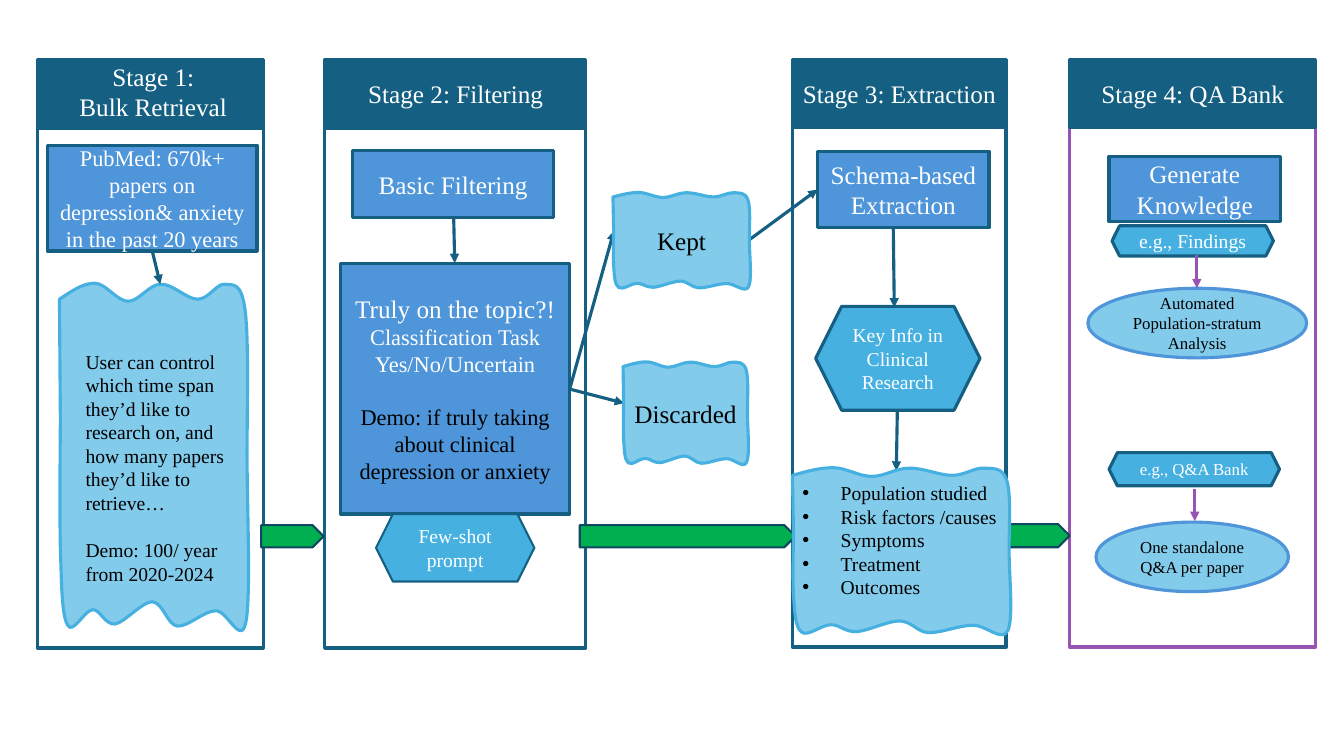
from dataclasses import dataclass

from lxml import etree
from pptx import Presentation
from pptx import util as u
from pptx.dml.color import RGBColor
from pptx.enum import shapes, text
from pptx.oxml import ns

PX = 9144  # EMU in one px, 100 px to the inch


@dataclass(frozen=True)
class Theme:
    font: str = "Times New Roman"
    dark: str = "156082"
    box: str = "4E95D9"
    hexagon: str = "46B1E1"
    pale: str = "83CBEB"
    purple: str = "9854B1"
    green: str = "00B050"
    green_edge: str = "104760"
    white: str = "FFFFFF"
    black: str = "000000"
    title: int = 18
    body: int = 16
    detail: int = 14
    small: int = 12
    line: float = 2.25
    thin: float = 1.5
    heavy: float = 2.75


THEME = Theme()
KIND = shapes.MSO_SHAPE
ALIGN = text.PP_ALIGN
ANCHOR = text.MSO_ANCHOR

# Torn sheet in thousandths of its size: start, then control, control, end.
SHEET_UNIT = 1000
SHEET_START = (0, 46)
SHEET_CURVES = [
    ((64, 23), (123, 0), (187, 0)),
    ((246, 0), (305, 52), (364, 52)),
    ((422, 52), (476, 3), (535, 3)),
    ((599, 0), (674, 46), (733, 46)),
    ((791, 46), (834, 0), (877, 3)),
    ((920, 6), (963, -6), (984, 75)),
    ((1005, 159), (995, 345), (995, 496)),
    ((995, 643), (1016, 899), (989, 974)),
    ((963, 1046), (888, 939), (829, 942)),
    ((765, 942), (684, 988), (626, 986)),
    ((572, 983), (551, 919), (492, 916)),
    ((439, 916), (342, 977), (294, 980)),
    ((241, 983), (214, 936), (176, 939)),
    ((134, 939), (70, 1012), (43, 983)),
    ((11, 954), (11, 858), (5, 762)),
    ((0, 664), (5, 394), (5, 394)),
]


def px(*lengths):
    return [u.Emu(length * PX) for length in lengths]


def apply(target, values):
    for name, value in values.items():
        setattr(target, name, value)


def style(shape, fill, line, weight=THEME.line):
    shape.shadow.inherit = False
    if fill:
        shape.fill.solid()
        shape.fill.fore_color.rgb = RGBColor.from_string(fill)
    else:
        shape.fill.background()
    shape.line.color.rgb = RGBColor.from_string(line)
    shape.line.width = u.Pt(weight)


def write(shape, lines, size, color, align=ALIGN.CENTER, anchor=ANCHOR.MIDDLE, wrap=True):
    """Fill a shape; a line is a string or a dict overriding size, color or gap."""
    frame = shape.text_frame
    apply(frame, {"word_wrap": wrap, "vertical_anchor": anchor})
    for index, line in enumerate(lines):
        values = {"size": size, "color": color, "gap": 0}
        values.update(line if isinstance(line, dict) else {"text": line})
        paragraph = frame.add_paragraph() if index else frame.paragraphs[0]
        apply(paragraph, {"alignment": align, "space_before": u.Pt(values["gap"])})
        run = paragraph.add_run()
        run.text = values["text"]
        apply(run.font, {"name": THEME.font, "size": u.Pt(values["size"])})
        run.font.color.rgb = RGBColor.from_string(values["color"])


def add_box(slide, kind, at, fill, line, weight=THEME.line, lines=(), size=THEME.title,
            color=THEME.white):
    shape = slide.shapes.add_shape(kind, *px(*at))
    style(shape, fill, line, weight)
    write(shape, lines, size, color)


def add_label(slide, at, lines, **formats):
    write(slide.shapes.add_textbox(*px(*at)), lines, **formats)


def bend(shape):
    """Turn the straight edges of a sheet into its cubic curves."""
    outline = next(shape._element.iter(ns.qn("a:path")))
    apply(outline, {"w": SHEET_UNIT, "h": SHEET_UNIT})
    start = next(outline.iter(ns.qn("a:pt")))
    apply(start, dict(zip("xy", SHEET_START)))
    edges = outline.findall(ns.qn("a:lnTo"))
    for edge, curve in zip(edges, SHEET_CURVES):
        cubic = etree.Element(ns.qn("a:cubicBezTo"))
        for x, y in curve:
            etree.SubElement(cubic, ns.qn("a:pt"), x=str(x), y=str(y))
        outline.replace(edge, cubic)
    for closing in edges[len(SHEET_CURVES):]:
        apply(closing[0], dict(zip("xy", SHEET_START)))


def add_sheet(slide, at, lines=(), **formats):
    """Draw the torn sheet, scaled to the given rectangle."""
    builder = slide.shapes.build_freeform(*SHEET_START)
    builder.add_line_segments([curve[-1] for curve in SHEET_CURVES], close=True)
    shape = builder.convert_to_shape()
    bend(shape)
    apply(shape, dict(zip(("left", "top", "width", "height"), px(*at))))
    style(shape, THEME.pale, THEME.hexagon)
    write(shape, lines, **{"size": THEME.title, "color": THEME.black, **formats})
    return shape


def add_bullets(shape, indent):
    for paragraph in shape.text_frame.paragraphs:
        properties = paragraph._p.get_or_add_pPr()
        properties.set("marL", str(indent * PX))
        properties.set("indent", str(-indent * PX))
        etree.SubElement(properties, ns.qn("a:buFont")).set("typeface", "Arial")
        etree.SubElement(properties, ns.qn("a:buChar")).set("char", "•")


def add_arrow(slide, start, end, color=THEME.dark):
    arrow = slide.shapes.add_connector(shapes.MSO_CONNECTOR.STRAIGHT, *px(*start, *end))
    arrow.line.color.rgb = RGBColor.from_string(color)
    arrow.line.width = u.Pt(THEME.line)
    etree.SubElement(arrow.line._get_or_add_ln(), ns.qn("a:tailEnd")).set("type", "triangle")
    etree.SubElement(arrow._element.spPr, ns.qn("a:effectLst"))


def add_stages(slide):
    stages = [
        (37, 224, 127, THEME.dark, THEME.line, []),
        (322, 259, 127, THEME.dark, THEME.line, []),
        (786, 212, 126, THEME.dark, THEME.heavy, ["Stage 3: Extraction"]),
        (1061, 244, 126, THEME.purple, THEME.line, ["Stage 4: QA Bank"]),
    ]
    for left, width, top, line, weight, title in stages:
        add_box(slide, KIND.RECTANGLE, (left, top, width, 516), None, line, weight)
        add_box(slide, KIND.RECTANGLE, (left, 59, width, 67), THEME.dark, THEME.dark, lines=title)
    for at, title in [((65, 56, 174, 71), ["Stage 1:", "Bulk Retrieval"]),
                      ((354, 73, 196, 40), ["Stage 2: Filtering"])]:
        add_label(slide, at, title, size=THEME.title, color=THEME.white,
                  anchor=ANCHOR.TOP, wrap=False)


def add_steps(slide):
    topic = ["Truly on the topic?!",
             {"text": "Classification Task", "size": THEME.body},
             {"text": "Yes/No/Uncertain", "size": THEME.body},
             {"text": "Demo: if truly taking about clinical depression or anxiety",
              "size": THEME.body, "color": THEME.black, "gap": 19}]
    papers = ["PubMed: 670k+ papers on depression& anxiety in the past 20 years"]
    for at, lines, size in [
        ((350, 149, 199, 67), ["Basic Filtering"], THEME.title),
        ((338, 261, 227, 249), topic, THEME.title),
        ((811, 150, 170, 76), ["Schema-based Extraction"], THEME.title),
        ((1100, 155, 170, 65), ["Generate Knowledge"], THEME.title),
        ((47, 144, 208, 105), papers, THEME.body),
    ]:
        add_box(slide, KIND.RECTANGLE, at, THEME.box, THEME.dark, lines=lines, size=size)
    for at, words, size, weight in [
        ((809, 304, 163, 103), "Key Info in Clinical Research", THEME.detail, THEME.line),
        ((373, 510, 157, 67), "Few-shot prompt", THEME.detail, THEME.thin),
        ((1103, 224, 160, 30), "e.g., Findings", THEME.detail, THEME.line),
        ((1100, 449, 169, 33), "e.g., Q&A Bank", THEME.small, THEME.line),
    ]:
        add_box(slide, KIND.HEXAGON, at, THEME.hexagon, THEME.dark, weight, [words], size)
    for at, words in [((1087, 518, 191, 69), "One standalone Q&A per paper"),
                      ((1079, 286, 217, 69), "Automated Population-stratum Analysis")]:
        add_box(slide, KIND.OVAL, at, THEME.pale, THEME.box, lines=[words],
                size=THEME.small, color=THEME.black)


def add_flow(slide):
    for at in [(259, 521, 62, 22), (575, 521, 214, 22), (998, 520, 63, 23)]:
        add_box(slide, KIND.PENTAGON, at, THEME.green, THEME.green_edge, THEME.thin)
    for start, end in [
        ((450, 217), (451, 261)), ((565, 386), (609, 229)), ((565, 386), (619, 400)),
        ((743, 238), (811, 188)), ((886, 227), (887, 305)), ((151, 249), (159, 282)),
        ((890, 407), (889, 467)),
    ]:
        add_arrow(slide, start, end)
    for start, end in [((1185, 485), (1185, 517)), ((1187, 253), (1187, 286))]:
        add_arrow(slide, start, end, THEME.purple)


def add_sheets(slide):
    add_sheet(slide, (608, 191, 136, 96), ["Kept"])
    add_sheet(slide, (618, 359, 124, 102), ["Discarded"])
    findings = add_sheet(
        slide, (786, 464, 216, 166),
        ["Population studied", "Risk factors /causes", "Symptoms", "Treatment", "Outcomes"],
        size=THEME.detail, align=ALIGN.LEFT)
    findings.text_frame.margin_bottom = px(28)[0]
    add_bullets(findings, 38)


def add_user_note(slide):
    add_sheet(slide, (59, 281, 187, 345))
    add_label(slide, (75, 342, 163, 269), [
        "User can control which time span they’d like to research on, "
        "and how many papers they’d like to retrieve…",
        {"text": "Demo: 100/ year from 2020-2024", "gap": 17},
    ], size=THEME.detail, color=THEME.black, align=ALIGN.LEFT, anchor=ANCHOR.TOP)


def main():
    presentation = Presentation()
    width, height = px(1333, 750)
    apply(presentation, {"slide_width": width, "slide_height": height})
    slide = presentation.slides.add_slide(presentation.slide_layouts[6])
    for add_part in (add_stages, add_user_note, add_steps, add_flow, add_sheets):
        add_part(slide)
    presentation.save("out.pptx")


if __name__ == "__main__":
    main()
